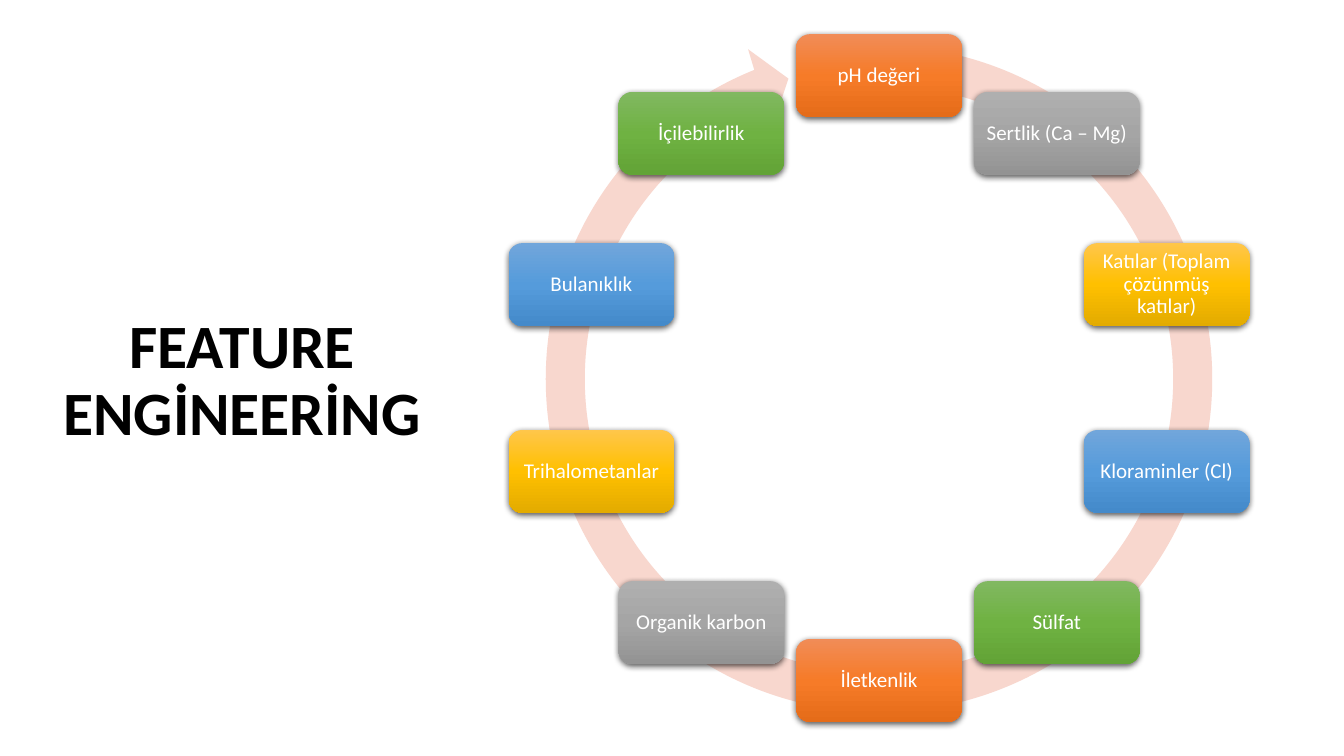
from copy import deepcopy
from dataclasses import dataclass
from math import cos, radians, sin

from lxml.etree import SubElement
from pptx import Presentation
from pptx.dml.color import RGBColor
from pptx.enum.shapes import MSO_SHAPE
from pptx.enum.text import MSO_ANCHOR, MSO_AUTO_SIZE, PP_ALIGN
from pptx.oxml.ns import qn
from pptx.util import Pt


@dataclass(frozen=True)
class Theme:
    font: str = "Calibri"
    title_size: float = 44
    step_size: float = 15
    title_color: str = "000000"
    step_color: str = "FFFFFF"
    ring_color: str = "F8D7CE"
    shadow_color: str = "000000"
    # top, middle and bottom colour of each step fill, used in turn
    gradients: tuple = (
        ("F18C57", "F67B28", "E56C19"),
        ("AFAFAF", "A5A5A5", "939393"),
        ("FFC64B", "FFC000", "E3AB00"),
        ("71A6DB", "559BDB", "448ACA"),
        ("81B861", "6FB242", "62A336"),
    )


FEATURES = (
    "pH değeri",
    "Sertlik (Ca – Mg)",
    "Katılar (Toplam çözünmüş katılar)",
    "Kloraminler (Cl)",
    "Sülfat",
    "İletkenlik",
    "Organik karbon",
    "Trihalometanlar",
    "Bulanıklık",
    "İçilebilirlik",
)
CENTER_X, CENTER_Y, RADIUS = 627.9, 270, 216
STEP_WIDTH, STEP_HEIGHT = 118.4, 59.2
RING_SIZE = 507
RING_ADJUSTMENTS = (0.055, 3.307, 148.624, 167.542, 0.058)


def apply_format(target, values):
    for attribute, value in values.items():
        setattr(target, attribute, value)


class SlideBuilder:
    def __init__(self, slide, theme):
        self.slide = slide
        self.theme = theme

    def set_text(self, frame, wording, size, color, bold=False, inset=None):
        """Put one centred paragraph in a text frame."""
        frame.text = wording
        apply_format(frame, {
            "word_wrap": True,
            "auto_size": MSO_AUTO_SIZE.NONE,
            "vertical_anchor": MSO_ANCHOR.MIDDLE,
        })
        if inset is not None:
            sides = ("left", "top", "right", "bottom")
            apply_format(frame, {f"margin_{side}": Pt(inset) for side in sides})
        paragraph = frame.paragraphs[0]
        apply_format(paragraph, {"alignment": PP_ALIGN.CENTER, "line_spacing": 0.9})
        font = paragraph.runs[0].font
        apply_format(font, {"name": self.theme.font, "size": Pt(size), "bold": bold})
        font.color.rgb = RGBColor.from_string(color)

    def title(self, wording, left, top, width, height):
        heading = self.slide.shapes.title
        apply_format(heading, {
            "left": Pt(left), "top": Pt(top),
            "width": Pt(width), "height": Pt(height),
        })
        self.set_text(heading.text_frame, wording, self.theme.title_size,
                      self.theme.title_color, bold=True)

    def centered_shape(self, preset, x, y, width, height):
        """Add a preset shape around a centre, without line or shadow."""
        shape = self.slide.shapes.add_shape(
            preset, Pt(x - width / 2), Pt(y - height / 2), Pt(width), Pt(height))
        shape.shadow.inherit = False
        shape.line.fill.background()
        return shape

    def ring(self, x, y, size, adjustments):
        arrow = self.centered_shape(MSO_SHAPE.CIRCULAR_ARROW, x, y, size, size)
        for index, value in enumerate(adjustments):
            arrow.adjustments[index] = value
        arrow.fill.solid()
        arrow.fill.fore_color.rgb = RGBColor.from_string(self.theme.ring_color)

    def step(self, wording, x, y, gradient):
        box = self.centered_shape(
            MSO_SHAPE.ROUNDED_RECTANGLE, x, y, STEP_WIDTH, STEP_HEIGHT)
        self.shade(box, gradient)
        self.drop_shadow(box)
        self.set_text(box.text_frame, wording, self.theme.step_size,
                      self.theme.step_color, inset=4.5)

    def shade(self, shape, colors):
        """Fill from top to bottom with three evenly spaced colours."""
        shape.fill.gradient()
        shape.fill.gradient_angle = 270
        stop_list = shape._element.spPr.find(qn("a:gradFill")).find(qn("a:gsLst"))
        stop_list.append(deepcopy(stop_list[-1]))
        for index, (stop, color) in enumerate(zip(shape.fill.gradient_stops, colors)):
            stop.position = index / 2
            stop.color.rgb = RGBColor.from_string(color)

    def drop_shadow(self, shape):
        effects = shape._element.spPr.find(qn("a:effectLst"))
        shadow = SubElement(effects, qn("a:outerShdw"), {
            "blurRad": str(Pt(4.5)), "dist": str(Pt(1.5)),
            "dir": "5400000", "algn": "ctr", "rotWithShape": "0",
        })
        color = SubElement(shadow, qn("a:srgbClr"), {"val": self.theme.shadow_color})
        SubElement(color, qn("a:alpha"), {"val": "63000"})


def main():
    presentation = Presentation()
    apply_format(presentation, {"slide_width": Pt(960), "slide_height": Pt(540)})
    theme = Theme()
    title_only = presentation.slide_layouts[5]
    builder = SlideBuilder(presentation.slides.add_slide(title_only), theme)

    builder.title("FEATURE ENGİNEERİNG", 33.1, 179.3, 280, 187)
    builder.ring(CENTER_X, CENTER_Y + 0.7, RING_SIZE, RING_ADJUSTMENTS)
    for index, feature in enumerate(FEATURES):
        angle = radians(index * 360 / len(FEATURES))
        builder.step(feature,
                     CENTER_X + RADIUS * sin(angle),
                     CENTER_Y - RADIUS * cos(angle),
                     theme.gradients[index % len(theme.gradients)])
    presentation.save("out.pptx")


if __name__ == "__main__":
    main()
